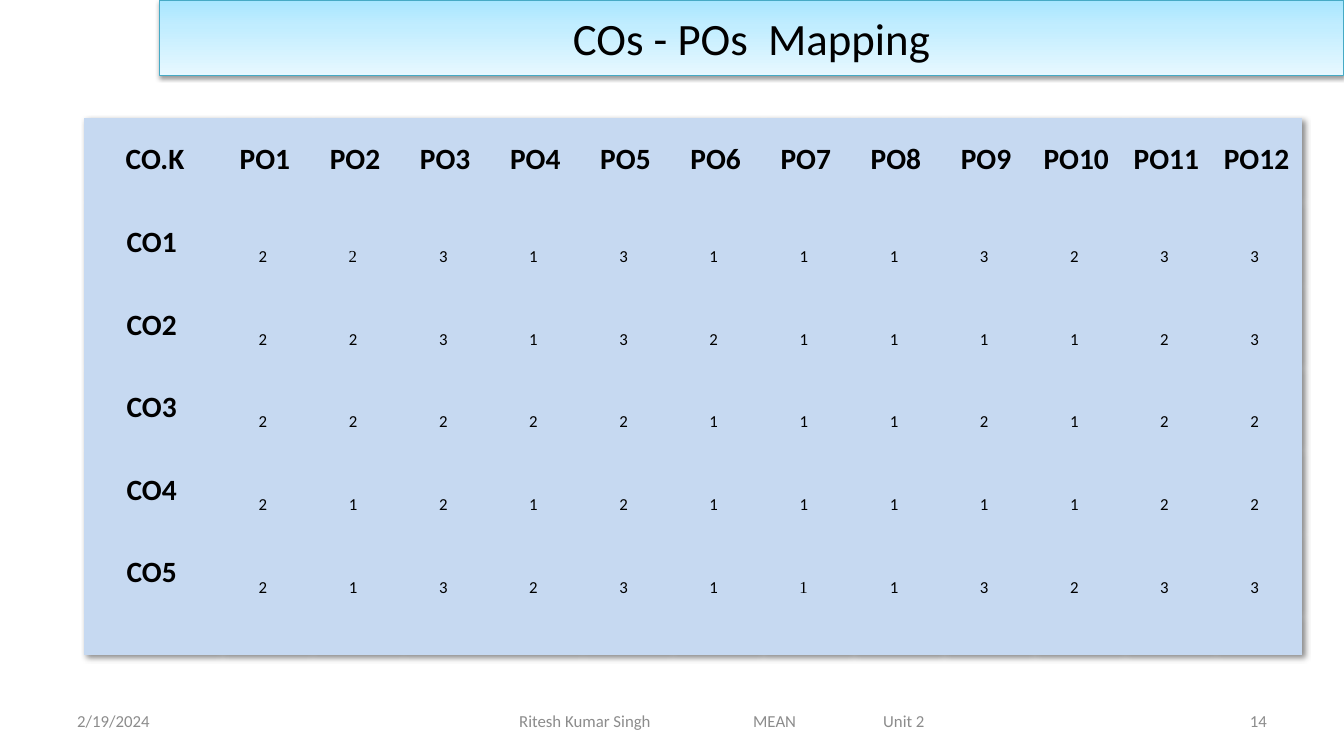
from lxml import etree
from pptx import Presentation
from pptx import util as u
from pptx.dml.color import RGBColor
from pptx.enum import text
from pptx.oxml import ns

WIDTH, HEIGHT = 13.33, 7.5
BLACK, GREY, PALE_BLUE = "000000", "8C8C8C", "C6D9F1"
PLAIN_TABLE = "{2D5ABB26-0587-4C30-8999-92F81FD0307C}"
ALIGN = text.PP_ALIGN

OUTCOMES = 12
LEVELS = {
    "CO1": "223131113233",
    "CO2": "223132111123",
    "CO3": "222221112122",
    "CO4": "212121111122",
    "CO5": "213231113233",
}
SERIF_CELLS = {("CO1", 2), ("CO5", 7)}


def color(value):
    return RGBColor.from_string(value)


def element(tag, parent=None, **attributes):
    node = etree.Element(ns.qn(tag)) if parent is None else etree.SubElement(parent, ns.qn(tag))
    for name, value in attributes.items():
        node.set(name, str(value))
    return node


def shadow(blur, distance, angle, opacity):
    effects = element("a:effectLst")
    outer = element("a:outerShdw", effects, blurRad=u.Pt(blur), dist=u.Pt(distance),
                    dir=angle * 60000, rotWithShape=0)
    black = element("a:srgbClr", outer, val=BLACK)
    element("a:alpha", black, val=opacity * 1000)
    return effects


def add_span(para, words, size, ink=BLACK, bold=False, face="Calibri"):
    span = para.add_run()
    span.text = words
    span.font.size = u.Pt(size)
    span.font.name = face
    span.font.bold = bold
    span.font.color.rgb = color(ink)


def set_margins(holder, left, top, right, bottom):
    holder.margin_left, holder.margin_top = u.Inches(left), u.Inches(top)
    holder.margin_right, holder.margin_bottom = u.Inches(right), u.Inches(bottom)


def place(shape, left, top, width, height):
    shape.left, shape.top = u.Inches(left), u.Inches(top)
    shape.width, shape.height = u.Inches(width), u.Inches(height)


def add_title(page, words):
    title = page.shapes.title
    place(title, 1.58, 0, WIDTH - 1.58, HEIGHT / 10)
    # Three-stop gradient, darkest at the bottom
    title.fill.gradient()
    title.fill.gradient_angle = 90
    stops = title._element.spPr.find(ns.qn("a:gradFill")).find(ns.qn("a:gsLst"))
    for stop in list(stops):
        stops.remove(stop)
    for share, value in ((0, "E7F8FF"), (65, "C1EDFF"), (100, "A7E6FF")):
        stop = element("a:gs", stops, pos=share * 1000)
        element("a:srgbClr", stop, val=value)
    title.fill.gradient_angle = 270
    title.line.color.rgb = color("46AAC5")
    title.line.width = u.Pt(0.75)
    title._element.spPr.append(shadow(3.1, 1.6, 90, 38))
    frame = title.text_frame
    frame.auto_size = text.MSO_AUTO_SIZE.NONE
    frame.vertical_anchor = text.MSO_ANCHOR.MIDDLE
    frame.paragraphs[0].alignment = ALIGN.CENTER
    add_span(frame.paragraphs[0], words, 32)
    # Stops run upward, so the list goes from dark to light
    for stop, (share, value) in zip(stops, ((0, "A7E6FF"), (35, "C1EDFF"), (100, "E7F8FF"))):
        stop.set("pos", str(share * 1000))
        stop[0].set("val", value)


def fill_cell(cell, words, label, face="Calibri"):
    cell.vertical_anchor = text.MSO_ANCHOR.MIDDLE
    # Levels sit below the middle line of their row
    set_margins(cell, *((0.01, 0.01, 0.01, 0) if label else (0.1, 0.35, 0.1, 0.05)))
    para = cell.text_frame.paragraphs[0]
    para.alignment = ALIGN.CENTER
    add_span(para, words, 21 if label else 12, bold=label, face=face)


def add_mapping(page):
    left, top, width, height = 0.83, 1.17, 12.08, 5.33
    row_count = len(LEVELS) + 2
    frame = page.shapes.add_table(row_count, OUTCOMES + 1, u.Inches(left), u.Inches(top),
                                  u.Inches(width), u.Inches(height))
    table = frame.table
    table.first_row = table.horz_banding = False
    properties = table._tbl.tblPr
    properties.find(ns.qn("a:tableStyleId")).text = PLAIN_TABLE
    properties.insert(0, shadow(4, 3, 45, 45))

    # First column is wider, last row is half as high
    first = 1.35
    for index, column in enumerate(table.columns):
        column.width = u.Inches(first if index == 0 else (width - first) / OUTCOMES)
    unit = height / (row_count - 0.5)
    for index, row in enumerate(table.rows):
        row.height = u.Inches(unit / 2 if index == row_count - 1 else unit)
    for cell in table.iter_cells():
        cell.fill.solid()
        cell.fill.fore_color.rgb = color(PALE_BLUE)

    fill_cell(table.cell(0, 0), " CO.K", True)
    for number in range(1, OUTCOMES + 1):
        fill_cell(table.cell(0, number), f"PO{number}", True)
    for row, (course, levels) in enumerate(LEVELS.items(), 1):
        fill_cell(table.cell(row, 0), course, True)
        for number, level in enumerate(levels, 1):
            face = "Times New Roman" if (course, number) in SERIF_CELLS else "Calibri"
            fill_cell(table.cell(row, number), f"{level} ", False, face)


def add_footer(page, words, left, width, align, inset=0.1, tabs=()):
    box = page.shapes.add_textbox(u.Inches(left), u.Inches(6.95), u.Inches(width), u.Inches(0.4))
    frame = box.text_frame
    frame.word_wrap = True
    frame.vertical_anchor = text.MSO_ANCHOR.MIDDLE
    set_margins(frame, inset, 0.05, 0.1, 0.05)
    para = frame.paragraphs[0]
    para.alignment = align
    if tabs:
        stops = element("a:tabLst", para._p.get_or_add_pPr())
        for stop in tabs:
            element("a:tab", stops, pos=u.Inches(stop), algn="l")
    add_span(para, words, 12, GREY)


def main():
    deck = Presentation()
    deck.slide_width, deck.slide_height = u.Inches(WIDTH), u.Inches(HEIGHT)
    page = deck.slides.add_slide(deck.slide_layouts[5])

    # Footer
    side = 3.11
    margin = WIDTH / 20
    add_footer(page, "2/19/2024", margin, side, ALIGN.LEFT)
    add_footer(page, "Ritesh Kumar Singh\tMEAN\tUnit 2", 4.42, 5.5, ALIGN.LEFT,
               inset=0.73, tabs=(2.32, 3.61))
    add_footer(page, "14", WIDTH - margin - side, side, ALIGN.RIGHT)

    # Heading and mapping table
    add_title(page, "COs - POs  Mapping")
    add_mapping(page)
    deck.save("out.pptx")


if __name__ == "__main__":
    main()
